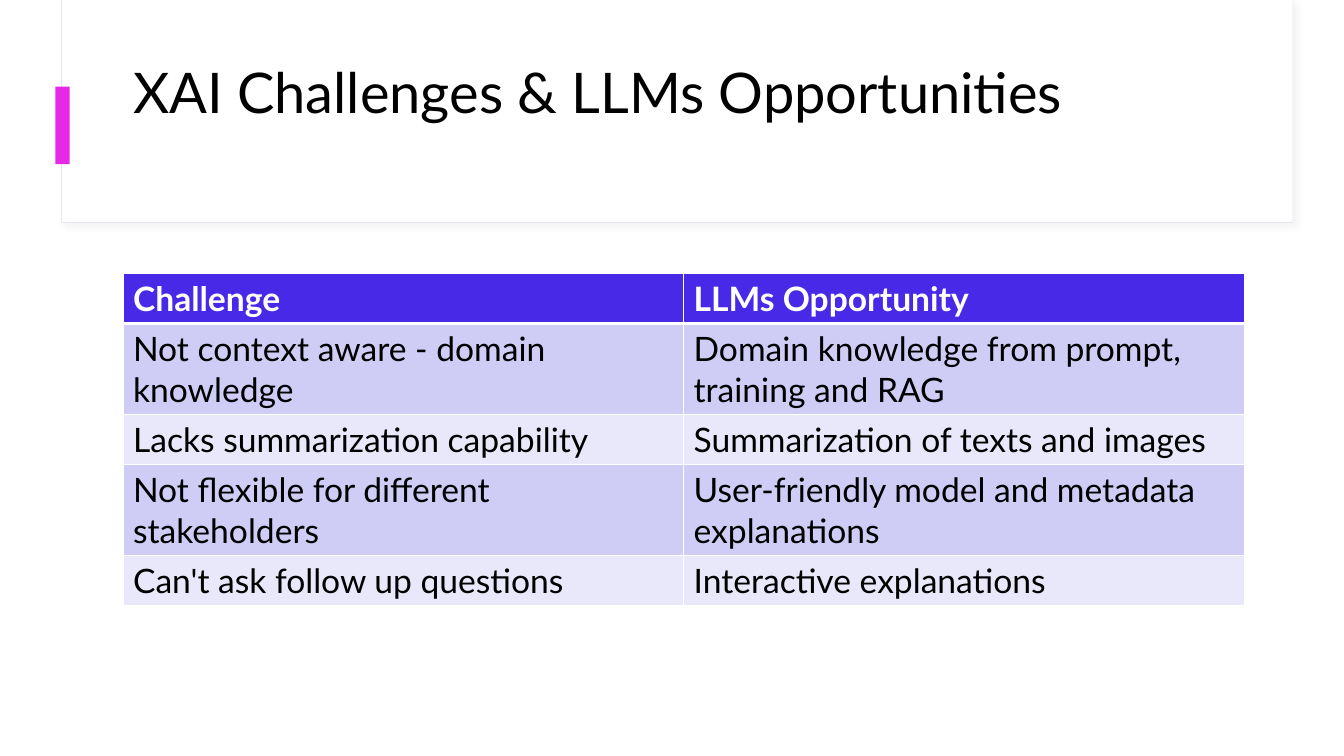
from lxml import etree
from pptx import Presentation
from pptx.dml.color import RGBColor
from pptx.enum import shapes, text
from pptx.oxml import ns
from pptx.util import Inches, Pt

HUES = {
    "white": "FFFFFF", "black": "000000", "edge": "E3E8EF", "shade": "D9D9D9",
    "pink": "E629E7", "head": "4829E7", "odd": "CFCDF6", "even": "E9E8FA",
}
ROWS = [
    ("Challenge", "LLMs Opportunity"),
    ("Not context aware - domain knowledge",
     "Domain knowledge from prompt, training and RAG"),
    ("Lacks summarization capability", "Summarization of texts and images"),
    ("Not flexible for different stakeholders",
     "User-friendly model and metadata explanations"),
    ("Can't ask follow up questions", "Interactive explanations"),
]


def hue(name):
    return RGBColor.from_string(HUES[name])


def node(base, tag, **attrs):
    return etree.SubElement(base, ns.qn(tag), attrs)


class Deck:
    def __init__(self, wide, high, font):
        self.prs = Presentation()
        self.prs.slide_width, self.prs.slide_height = Inches(wide), Inches(high)
        self.slide = self.prs.slides.add_slide(self.prs.slide_layouts[5])
        self.font = font

    def style(self, para, size, color, bold=False):
        form = {"name": self.font, "size": Pt(size), "bold": bold}
        for run in para.runs:
            for key, value in form.items():
                setattr(run.font, key, value)
            run.font.color.rgb = hue(color)

    def box(self, place, fill, line=None, shade=None):
        rect = self.slide.shapes.add_shape(
            shapes.MSO_SHAPE.RECTANGLE, *map(Inches, place))
        rect.shadow.inherit = False
        rect.fill.solid()
        rect.fill.fore_color.rgb = hue(fill)
        if line:
            rect.line.color.rgb = hue(line)
            rect.line.width = Pt(0.75)
        else:
            rect.line.fill.background()
        if shade:
            effect = rect._element.spPr.find(ns.qn("a:effectLst"))
            drop = node(effect, "a:outerShdw", blurRad=str(Pt(4)),
                        dist=str(Pt(3)), dir=str(45 * 60000))
            tint = node(drop, "a:srgbClr", val=HUES[shade])
            node(tint, "a:alpha", val="30000")

    def title(self, words, place):
        head = self.slide.shapes.title
        sides = ("left", "top", "width", "height")
        for key, value in zip(sides, place):
            setattr(head, key, Inches(value))
        frame = head.text_frame
        frame.text = words
        form = {"vertical_anchor": text.MSO_ANCHOR.TOP, "word_wrap": True,
                "auto_size": text.MSO_AUTO_SIZE.NONE}
        for key, value in form.items():
            setattr(frame, key, value)
        para = frame.paragraphs[0]
        para.alignment = text.PP_ALIGN.LEFT
        para.line_spacing = 0.9
        self.style(para, 40, "black")
        # Bring the title in front of its panel
        head._element.getparent().append(head._element)

    def rule(self, cell, side, width):
        line = node(cell._tc.get_or_add_tcPr(), "a:ln" + side, w=str(Pt(width)))
        node(node(line, "a:solidFill"), "a:srgbClr", val=HUES["white"])

    def table(self, rows, place, highs):
        grid = self.slide.shapes.add_table(
            len(rows), len(rows[0]), *map(Inches, place)).table
        for r, words in enumerate(rows):
            grid.rows[r].height = Inches(highs[r])
            first = r == 0
            fill = "head" if first else ("even", "odd")[r % 2]
            for c, word in enumerate(words):
                cell = grid.cell(r, c)
                cell.text = word
                for side in "LRTB":
                    thick = (first and side == "B") or (r == 1 and side == "T")
                    self.rule(cell, side, 3 if thick else 1)
                cell.fill.solid()
                cell.fill.fore_color.rgb = hue(fill)
                self.style(cell.text_frame.paragraphs[0], 24,
                           "white" if first else "black", first)


def main():
    deck = Deck(13.33, 7.5, "Lato")

    # Title panel with its accent bar
    deck.box((0.61, 0, 12.21, 2.21), "white", "edge", "shade")
    deck.box((0.62, 0, 12.2, 2.2), "white")
    deck.box((0.55, 0.86, 0.14, 0.77), "pink")
    deck.title("XAI Challenges & LLMs Opportunities", (1.22, 0.6, 11.12, 1.29))

    # Challenges beside opportunities
    highs = [0.49, 0.9, 0.5, 0.9, 0.5]
    deck.table(ROWS, (1.22, 2.71, 11.12, sum(highs)), highs)

    deck.prs.save("out.pptx")


if __name__ == "__main__":
    main()
